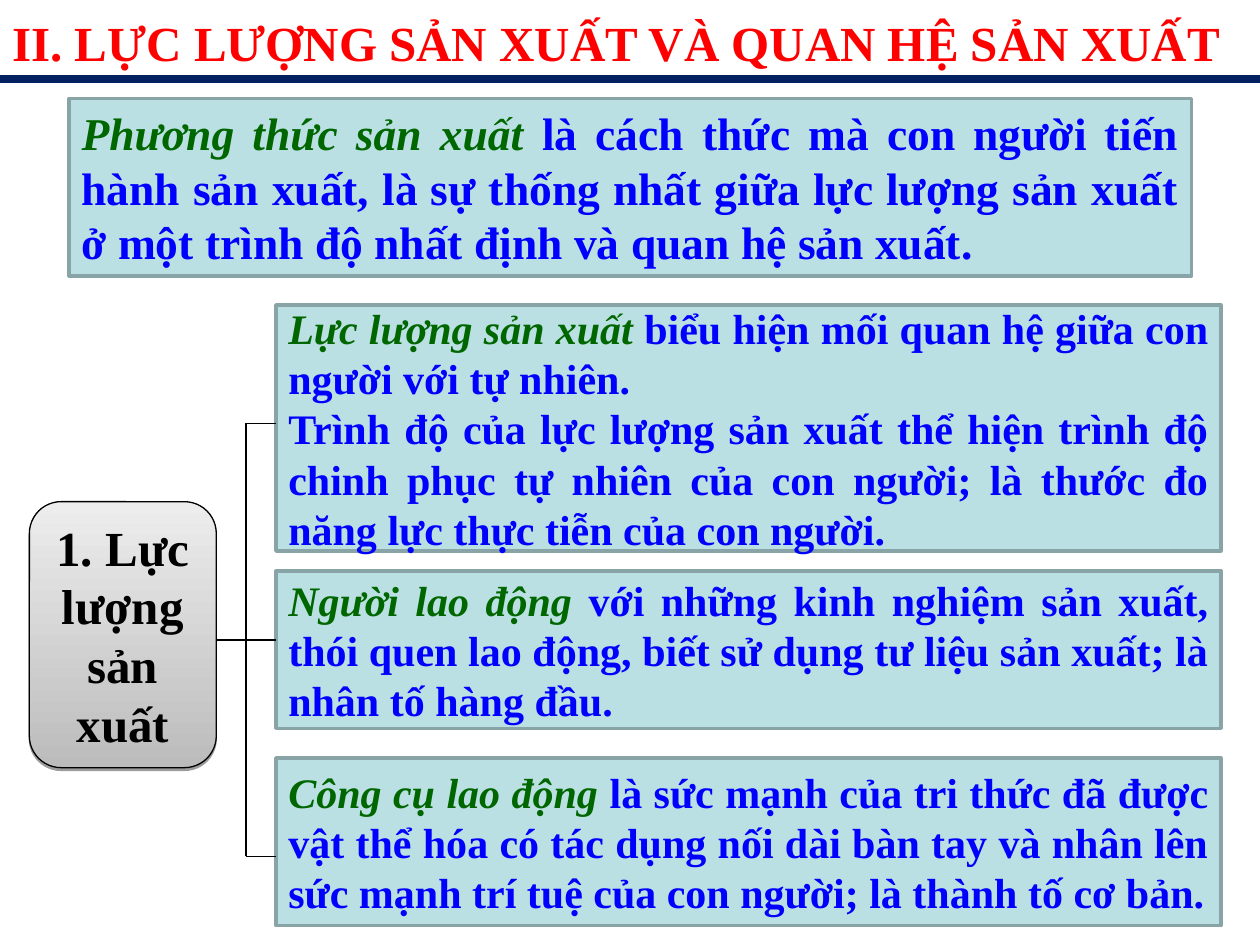
from dataclasses import dataclass

import pptx
import pptx.dml.color
import pptx.enum.shapes
import pptx.enum.text
import pptx.oxml
import pptx.oxml.ns
import pptx.util
from pptx.util import Pt

ALIGN = pptx.enum.text.PP_ALIGN
SHAPE = pptx.enum.shapes.MSO_SHAPE
FONT = "Times New Roman"
NAVY, RED, GREEN, BLUE, BLACK = "002060", "FF0000", "006600", "0000FF", "000000"
PANEL_FILL, PANEL_LINE = "BBE0E3", "89A4A7"
PANEL_X, PANEL_W = 157.7, 540
TRUNK_X, LABEL_RIGHT = 140.6, 123.6


@dataclass
class Panel:
    x: float
    y: float
    w: float
    h: float
    size: float
    term: str
    text: str
    more: str = ""


PANELS = [
    Panel(39.5, 56.2, 641.5, 101.4, 26, "Phương thức sản xuất ",
          "là cách thức mà con người tiến hành sản xuất, là sự thống nhất giữa "
          "lực lượng sản xuất ở một trình độ nhất định và quan hệ sản xuất."),
    Panel(PANEL_X, 174.3, PANEL_W, 140.6, 24, "Lực lượng sản xuất ",
          "biểu hiện mối quan hệ giữa con người với tự nhiên.",
          "Trình độ của lực lượng sản xuất thể hiện trình độ chinh phục tự nhiên "
          "của con người; là thước đo năng lực thực tiễn của con người."),
    Panel(PANEL_X, 326.2, PANEL_W, 90, 24, "Người lao động ",
          "với những kinh nghiệm sản xuất, thói quen lao động, biết sử dụng "
          "tư liệu sản xuất; là nhân tố hàng đầu."),
    Panel(PANEL_X, 433.2, PANEL_W, 95.7, 24, "Công cụ lao động ",
          "là sức mạnh của tri thức đã được vật thể hóa có tác dụng nối dài bàn tay "
          "và nhân lên sức mạnh trí tuệ của con người; là thành tố cơ bản."),
]


def rgb(color: str) -> pptx.dml.color.RGBColor:
    return pptx.dml.color.RGBColor.from_string(color)


def add_run(p, text: str, size: float, color: str, italic: bool = False) -> None:
    r = p.add_run()
    r.text = text
    r.font.name = FONT
    r.font.size = Pt(size)
    r.font.bold = True
    r.font.italic = italic
    r.font.color.rgb = rgb(color)


def add_line(s, x1: float, y1: float, x2: float, y2: float,
             color: str = BLACK, width: float = 0.75) -> None:
    line = s.shapes.add_connector(pptx.enum.shapes.MSO_CONNECTOR.STRAIGHT,
                                  Pt(x1), Pt(y1), Pt(x2), Pt(y2))
    line.line.color.rgb = rgb(color)
    line.line.width = Pt(width)
    line._element.spPr.append(pptx.oxml.parse_xml(
        f'<a:effectLst {pptx.oxml.ns.nsdecls("a")}/>'))


def add_box(s, kind, x: float, y: float, w: float, h: float, line: str, width: float):
    sp = s.shapes.add_shape(kind, Pt(x), Pt(y), Pt(w), Pt(h))
    sp.shadow.inherit = False
    sp.line.color.rgb = rgb(line)
    sp.line.width = Pt(width)
    tf = sp.text_frame
    tf.word_wrap = True
    tf.vertical_anchor = pptx.enum.text.MSO_ANCHOR.MIDDLE
    return sp


def add_title(s) -> None:
    add_line(s, 0, 45.4, 720, 45.4, NAVY, 4.5)
    tf = s.shapes.add_textbox(0, Pt(3.6), Pt(720), Pt(41)).text_frame
    tf.word_wrap = True
    tf.auto_size = pptx.enum.text.MSO_AUTO_SIZE.SHAPE_TO_FIT_TEXT
    p = tf.paragraphs[0]
    p.alignment = ALIGN.JUSTIFY
    add_run(p, "II. LỰC LƯỢNG SẢN XUẤT VÀ QUAN HỆ SẢN XUẤT", 28, RED)


def add_panel(s, panel: Panel) -> None:
    sp = add_box(s, SHAPE.RECTANGLE, panel.x, panel.y, panel.w, panel.h, PANEL_LINE, 2)
    sp.fill.solid()
    sp.fill.fore_color.rgb = rgb(PANEL_FILL)
    tf = sp.text_frame
    p = tf.paragraphs[0]
    p.alignment = ALIGN.JUSTIFY
    add_run(p, panel.term, panel.size, GREEN, italic=True)
    add_run(p, panel.text, panel.size, BLUE)
    if panel.more:
        p = tf.add_paragraph()
        p.alignment = ALIGN.JUSTIFY
        add_run(p, panel.more, panel.size, BLUE)


def add_label(s) -> None:
    """Draw the rounded heading that the bracket starts from."""
    x = 16.8
    sp = add_box(s, SHAPE.ROUNDED_RECTANGLE, x, 286.7, LABEL_RIGHT - x, 152, BLACK, 0.75)
    sp.adjustments[0] = 0.17
    sp.fill.gradient()
    sp.fill.gradient_angle = 90
    for stop, color in zip(sp.fill.gradient_stops, ("BCBCBC", "EDEDED")):
        stop.color.rgb = rgb(color)
    effects = sp._element.spPr.find(pptx.oxml.ns.qn("a:effectLst"))
    effects.append(pptx.oxml.parse_xml(
        f'<a:outerShdw {pptx.oxml.ns.nsdecls("a")} blurRad="0" dist="{Pt(1.6)}" '
        f'dir="5400000" rotWithShape="0"><a:srgbClr val="{BLACK}">'
        '<a:alpha val="38000"/></a:srgbClr></a:outerShdw>'))
    p = sp.text_frame.paragraphs[0]
    p.alignment = ALIGN.CENTER
    add_run(p, "1. Lực lượng sản xuất", 28, BLACK)


def add_bracket(s) -> None:
    top, middle, bottom = 242, 365.7, 489.4
    add_line(s, TRUNK_X, top, TRUNK_X, bottom)
    for x, y in ((LABEL_RIGHT, middle), (TRUNK_X, top), (TRUNK_X, bottom)):
        add_line(s, x, y, PANEL_X, y)


def main() -> None:
    prs = pptx.Presentation()
    prs.slide_width, prs.slide_height = Pt(720), Pt(540)
    s = prs.slides.add_slide(prs.slide_layouts[6])
    add_title(s)
    for panel in PANELS:
        add_panel(s, panel)
    add_label(s)
    add_bracket(s)
    prs.save("out.pptx")


if __name__ == "__main__":
    main()
